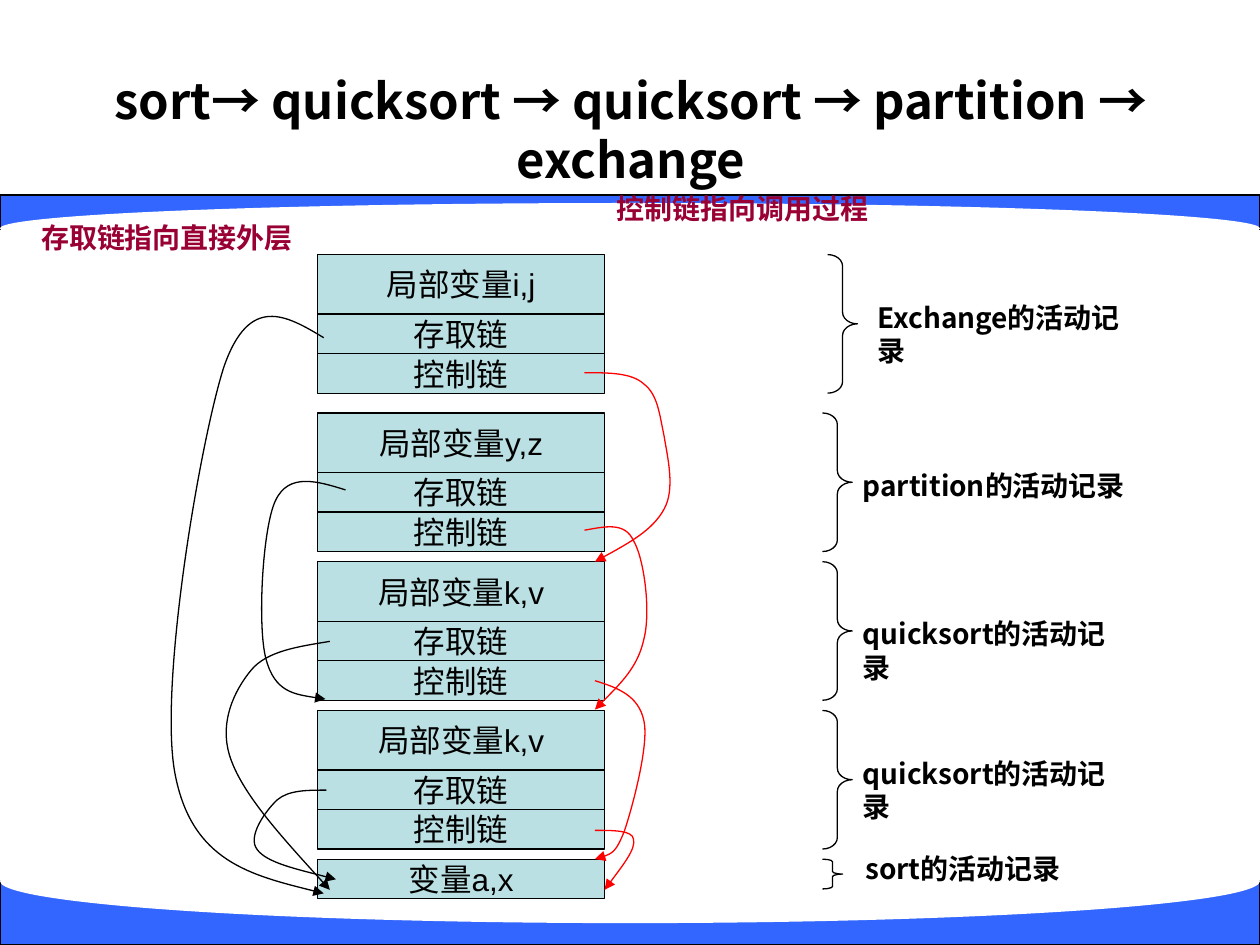
from pptx import Presentation
from pptx.dml.color import RGBColor
from pptx.enum.shapes import MSO_SHAPE as SHAPE
from pptx.enum.text import MSO_ANCHOR as ANCHOR, PP_ALIGN as ALIGN
from pptx.oxml.ns import qn
from pptx.util import Pt
from lxml.etree import SubElement

BLACK = RGBColor(0x00, 0x00, 0x00)
WHITE = RGBColor(0xFF, 0xFF, 0xFF)
BLUE = RGBColor(0x33, 0x66, 0xFF)
TEAL = RGBColor(0xBB, 0xE0, 0xE3)
RED = RGBColor(0xFF, 0x00, 0x00)
MAROON = RGBColor(0x99, 0x00, 0x33)
SANS = "Noto Sans CJK SC"

STACK_X, STACK_W = 181.5, 164
LOCALS_H, LINK_H = 34, 22.6
RECORD_H = LOCALS_H + 2 * LINK_H

RECORDS = [
    (145.5, "局部变量i,j", 473),
    (236, "局部变量y,z", 470),
    (321, "局部变量k,v", 470),
    (406, "局部变量k,v", 470),
]
LABELS = [
    ("Exchange的活动记录", 494.5, 168, 161.5),
    ("partition的活动记录", 486, 264, 168.5),
    ("quicksort的活动记录", 486, 349, 168.5),
    ("quicksort的活动记录", 486, 428.5, 168.5),
    ("sort的活动记录", 487.5, 483, 127.5),
]
CONTROL_LINKS = [
    [(334, 213), (348, 213), (361, 213), (368, 219.5),
     (376, 225.5), (377, 237.5), (379.5, 249),
     (381.5, 261.5), (386, 279.5), (379.5, 291),
     (373, 303), (356.5, 312), (340, 321)],
    [(334, 303), (345.5, 301), (357, 298), (362, 309),
     (368, 319), (372, 349), (368, 365),
     (364.5, 381.5), (352, 393), (340, 405.5)],
    [(340, 389), (353, 393), (365, 397.5), (368, 412),
     (371, 425.5), (361.5, 461), (357, 474.5),
     (352, 487.5), (346.5, 489.5), (340, 491)],
    [(340, 474.5), (350.5, 474.5), (361.5, 474.5), (362, 479.5),
     (363.5, 485), (354, 497), (345.5, 508.5)],
]
ACCESS_LINKS = [
    [(185, 193), (163.5, 180), (142.5, 168), (128, 209.5),
     (114.5, 251.5), (90.5, 391.5), (100, 442),
     (109.5, 492.5), (147, 501), (185, 510.5)],
    [(197.5, 280), (181.5, 275), (165, 270), (157.5, 286),
     (150, 301.5), (147, 358), (152, 376.5),
     (157, 395.5), (171.5, 397.5), (186, 399.5)],
    [(188.5, 366.5), (170.5, 369.5), (152.5, 372), (143.5, 383),
     (134, 394.5), (124.5, 413.5), (132, 434),
     (139.5, 455), (164, 481.5), (188.5, 508.5)],
    [(186.5, 451.5), (175.5, 451.5), (165, 451.5), (158.5, 457),
     (152, 463), (141, 478), (147, 485.5),
     (152.5, 493), (173, 497.5), (192, 502.5)],
]


def write(sp, text, size=16, font=SANS, color=BLACK, bold=True,
          align=ALIGN.LEFT, anchor=ANCHOR.TOP, wrap=True):
    tf = sp.text_frame
    tf.word_wrap = wrap
    tf.vertical_anchor = anchor
    p = tf.paragraphs[0]
    p.alignment = align
    r = p.add_run()
    r.text = text
    r.font.size = Pt(size)
    r.font.name = font
    r.font.bold = bold
    r.font.color.rgb = color
    SubElement(r.font._element, qn("a:ea"), typeface=SANS)


def add_text(s, text, x, y, w, h=26.5, **fmt):
    write(s.shapes.add_textbox(Pt(x), Pt(y), Pt(w), Pt(h)), text, **fmt)


def style(sp, fill=None, line=BLACK):
    sp.shadow.inherit = False
    if fill is None:
        sp.fill.background()
    else:
        sp.fill.solid()
        sp.fill.fore_color.rgb = fill
    if line is None:
        sp.line.fill.background()
    else:
        sp.line.color.rgb = line
        sp.line.width = Pt(0.75)


def add_shape(s, kind, x, y, w, h, fill=None, line=BLACK):
    sp = s.shapes.add_shape(kind, Pt(x), Pt(y), Pt(w), Pt(h))
    style(sp, fill, line)
    return sp


def add_cell(s, text, y, h):
    sp = add_shape(s, SHAPE.RECTANGLE, STACK_X, y, STACK_W, h, TEAL)
    write(sp, text, size=18, font="Arial", bold=False,
          align=ALIGN.CENTER, anchor=ANCHOR.MIDDLE, wrap=False)


def add_record(s, y, variables):
    add_cell(s, variables, y, LOCALS_H)
    add_cell(s, "存取链", y + LOCALS_H, LINK_H)
    add_cell(s, "控制链", y + LOCALS_H + LINK_H, LINK_H)


def add_brace(s, x, y, w, h, curve):
    sp = add_shape(s, SHAPE.RIGHT_BRACE, x, y, w, h)
    sp.adjustments[0] = curve
    sp.adjustments[1] = 0.5


def add_curve(s, points, color):
    start, *rest = [(Pt(x), Pt(y)) for x, y in points]
    builder = s.shapes.build_freeform(*start)
    builder.add_line_segments(rest, close=False)
    sp = builder.convert_to_shape()
    style(sp, line=color)
    outline = next(sp._element.iter(qn("a:path")))
    steps = outline.findall(qn("a:lnTo"))
    for i in range(0, len(steps), 3):
        bezier = SubElement(outline, qn("a:cubicBezTo"))
        for step in steps[i:i + 3]:
            bezier.append(step[0])
            outline.remove(step)
    SubElement(sp.line._get_or_add_ln(), qn("a:tailEnd"), type="triangle")


def add_band(s, band_y, band_h, oval_y, oval_h):
    add_shape(s, SHAPE.RECTANGLE, 0, band_y, 720, band_h, BLUE)
    add_shape(s, SHAPE.OVAL, 0, oval_y, 720, oval_h, WHITE, None)


def main():
    prs = Presentation()
    prs.slide_width, prs.slide_height = Pt(720), Pt(540)
    s = prs.slides.add_slide(prs.slide_layouts[6])

    add_band(s, 111.5, 19.5, 116, 29)
    add_band(s, 503.5, 36.5, 479.5, 48)
    add_text(s, "sort→ quicksort → quicksort → partition → exchange",
             36.5, 38, 648, 72, size=28, align=ALIGN.CENTER,
             anchor=ANCHOR.MIDDLE)

    for y, variables, brace_x in RECORDS:
        add_record(s, y, variables)
        add_brace(s, brace_x, y, 17, RECORD_H, 0.389)
    add_cell(s, "变量a,x", 491, LINK_H)
    add_brace(s, 470, 491, 11.5, 17, 0.125)

    for label in LABELS:
        add_text(s, *label)
    for points in CONTROL_LINKS:
        add_curve(s, points, RED)
    for points in ACCESS_LINKS:
        add_curve(s, points, BLACK)
    add_text(s, "存取链指向直接外层", 16.5, 122.5, 164, color=MAROON)
    add_text(s, "控制链指向调用过程", 345.5, 106, 164, color=MAROON)

    prs.save("out.pptx")


if __name__ == "__main__":
    main()
